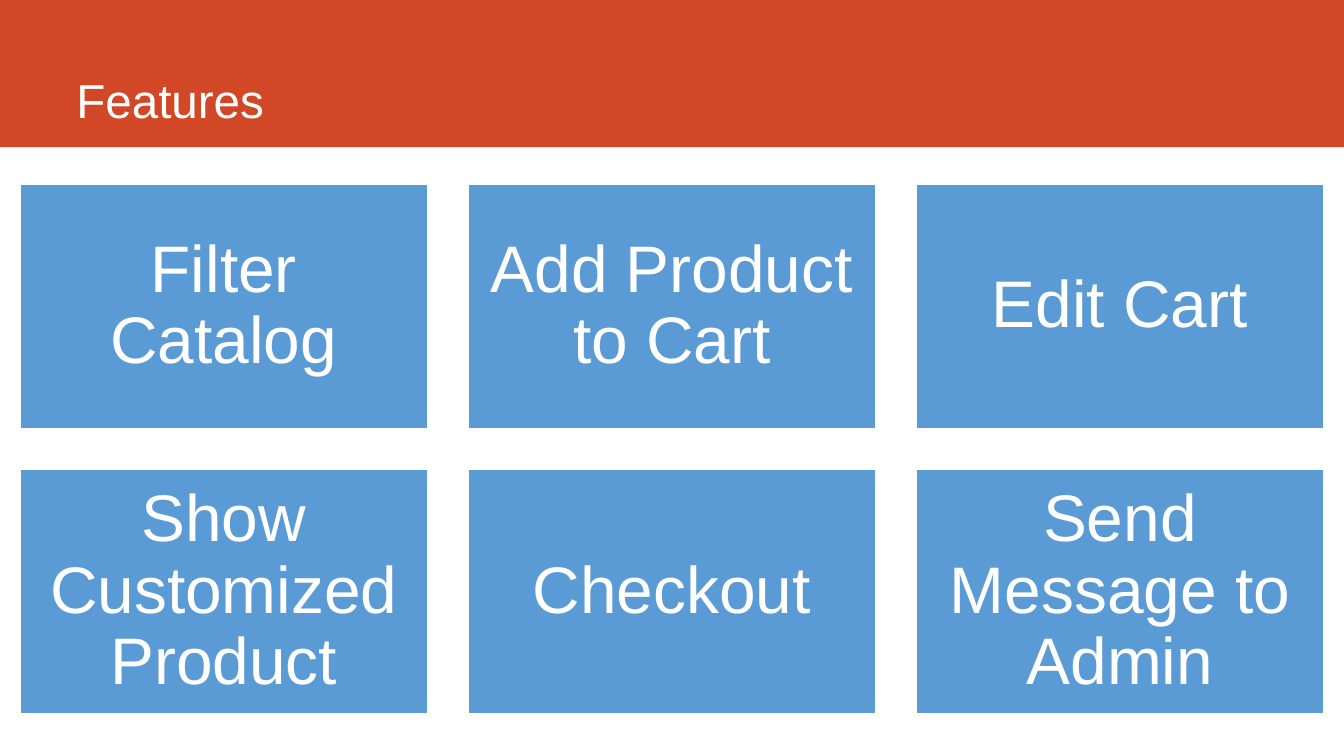
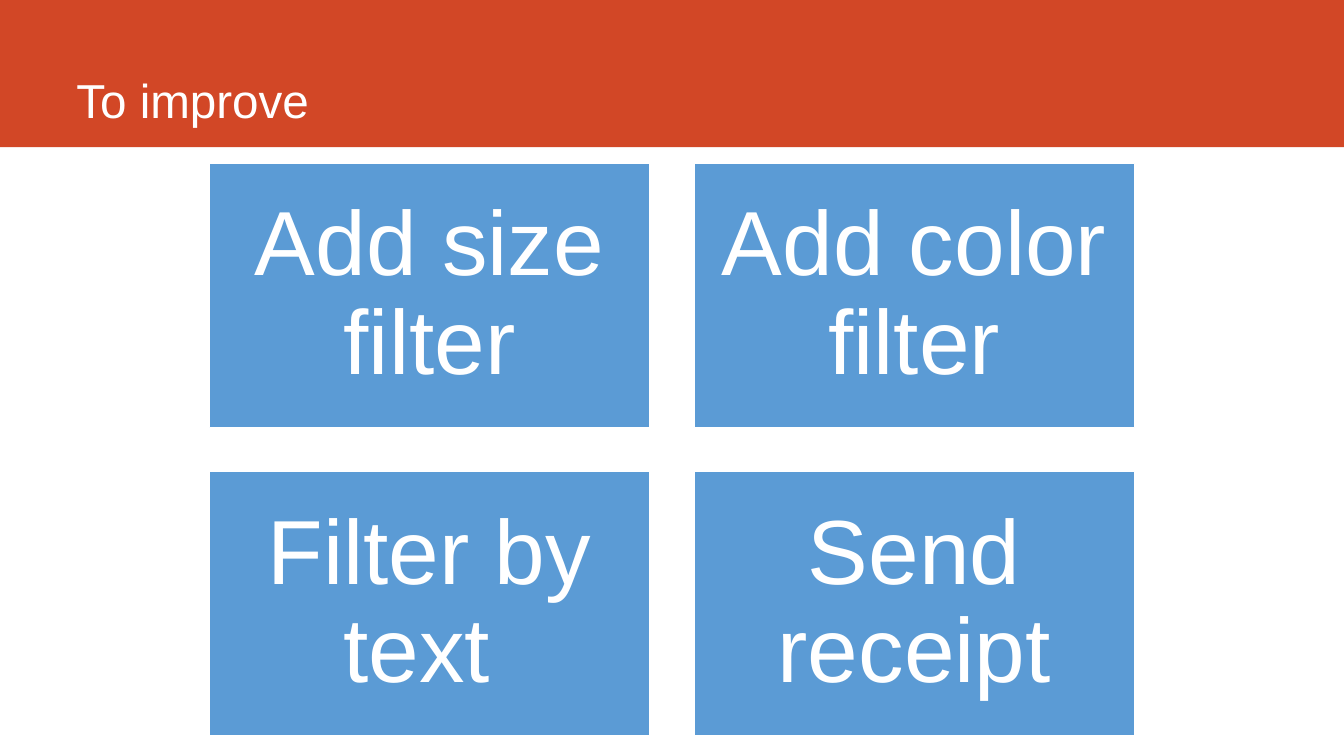
from dataclasses import dataclass

from pptx import Presentation
from pptx.dml.color import RGBColor
from pptx.enum.shapes import MSO_SHAPE
from pptx.enum.text import MSO_ANCHOR, PP_ALIGN
from pptx.util import Inches, Pt

RECTANGLE = MSO_SHAPE.RECTANGLE
MIDDLE, BOTTOM = MSO_ANCHOR.MIDDLE, MSO_ANCHOR.BOTTOM
LEFT, CENTER = PP_ALIGN.LEFT, PP_ALIGN.CENTER
BLANK_LAYOUT = 6


@dataclass(frozen=True)
class Theme:
    width: float = 13.33
    height: float = 7.5
    band_height: float = 1.46
    band_color: RGBColor = RGBColor(0xD2, 0x47, 0x26)
    tile_color: RGBColor = RGBColor(0x5B, 0x9B, 0xD5)
    light: RGBColor = RGBColor(0xFF, 0xFF, 0xFF)
    font: str = "Arial"
    title_size: int = 34
    # Tile proportions, as shares of the tile width or the text size
    tile_aspect: float = 0.6
    tile_gap: float = 0.1
    tile_inset: float = 0.3
    tile_spacing: float = 0.9


@dataclass(frozen=True)
class TileGrid:
    title: str
    labels: tuple
    columns: int
    top: float
    tile_width: float
    text_size: int


THEME = Theme()

FEATURES = TileGrid(
    title="Features",
    labels=("Filter Catalog", "Add Product to Cart", "Edit Cart",
            "Show Customized Product", "Checkout", "Send Message to Admin"),
    columns=3, top=1.83, tile_width=4.04, text_size=47)

IMPROVEMENTS = TileGrid(
    title="To improve",
    labels=("Add size filter", "Add color filter",
            "Filter by text ", "Send receipt"),
    columns=2, top=1.62, tile_width=4.37, text_size=65)


def add_box(slide, left, top, width, height, fill):
    """Add a plain filled rectangle without outline or shadow."""
    box = slide.shapes.add_shape(
        RECTANGLE, Inches(left), Inches(top), Inches(width), Inches(height))
    box.shadow.inherit = False
    box.fill.solid()
    box.fill.fore_color.rgb = fill
    box.line.fill.background()
    return box


def write(frame, text, size, anchor, align):
    """Write one styled line of text and return its paragraph."""
    frame.word_wrap = True
    frame.vertical_anchor = anchor
    paragraph = frame.paragraphs[0]
    paragraph.alignment = align
    run = paragraph.add_run()
    run.text = text
    run.font.name = THEME.font
    run.font.size = Pt(size)
    run.font.color.rgb = THEME.light
    return paragraph


def add_header(slide, title):
    """Add the coloured band and the slide title."""
    add_box(slide, 0, 0, THEME.width, THEME.band_height, THEME.band_color)
    heading = slide.shapes.add_textbox(
        Inches(0.66), 0, Inches(11.76), Inches(1.32))
    write(heading.text_frame, title, THEME.title_size, BOTTOM, LEFT)


def add_tile(slide, label, left, top, width, height, size):
    """Add one labelled tile."""
    tile = add_box(slide, left, top, width, height, THEME.tile_color)
    tile.line.color.rgb = THEME.light
    tile.line.width = Pt(1)
    frame = tile.text_frame
    inset = Pt(size * THEME.tile_inset)
    frame.margin_left = frame.margin_right = inset
    frame.margin_top = frame.margin_bottom = inset
    paragraph = write(frame, label, size, MIDDLE, CENTER)
    paragraph.line_spacing = THEME.tile_spacing


def add_tiles(slide, grid):
    """Lay the tiles out row by row, centred across the slide."""
    width = grid.tile_width
    height = width * THEME.tile_aspect
    gap = width * THEME.tile_gap
    row_width = grid.columns * width + (grid.columns - 1) * gap
    margin = (THEME.width - row_width) / 2
    for index, label in enumerate(grid.labels):
        row, column = divmod(index, grid.columns)
        add_tile(slide, label,
                 margin + column * (width + gap),
                 grid.top + row * (height + gap),
                 width, height, grid.text_size)


def main():
    deck = Presentation()
    deck.slide_width = Inches(THEME.width)
    deck.slide_height = Inches(THEME.height)
    for grid in (FEATURES, IMPROVEMENTS):
        slide = deck.slides.add_slide(deck.slide_layouts[BLANK_LAYOUT])
        add_header(slide, grid.title)
        add_tiles(slide, grid)
    deck.save("out.pptx")


if __name__ == "__main__":
    main()
